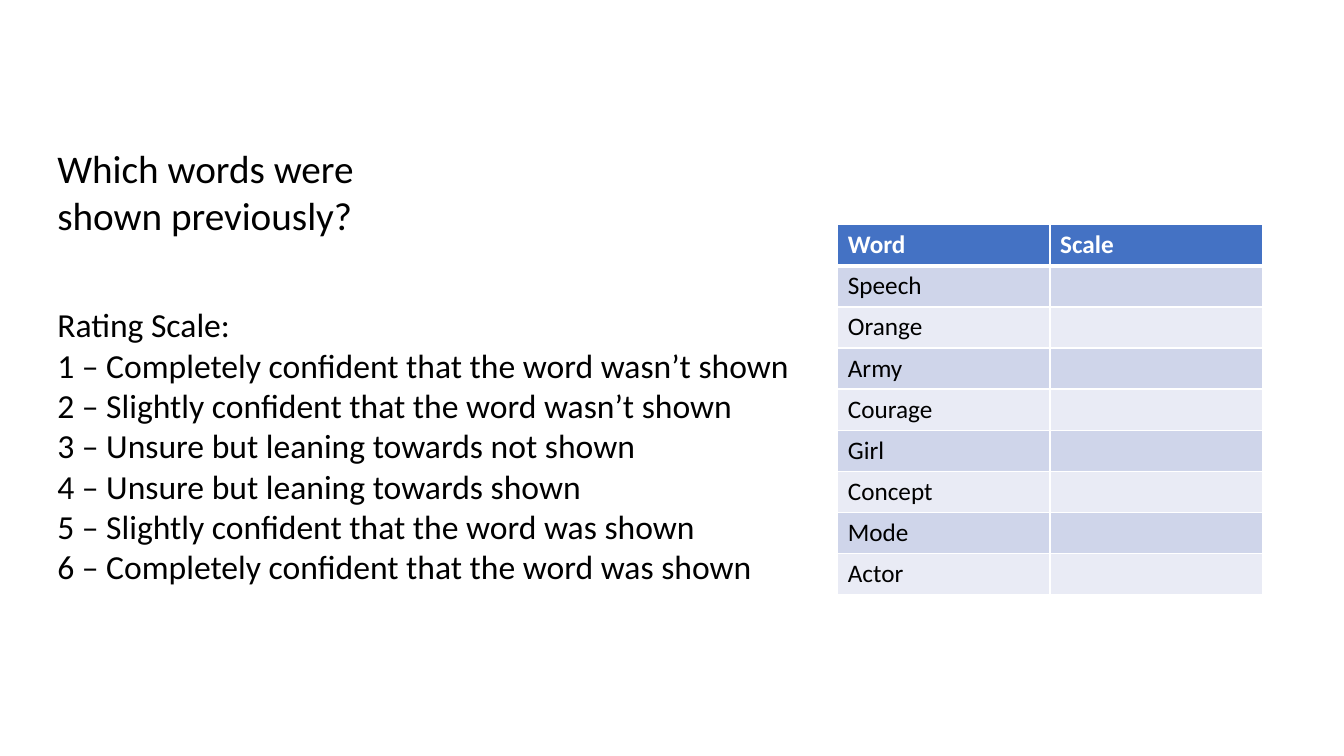
"""Build a word recognition slide with a confidence scale and an answer table."""
from lxml import etree
from pptx import Presentation
from pptx.dml.color import RGBColor
from pptx.enum.text import MSO_AUTO_SIZE as AutoSize
from pptx.oxml.ns import qn
from pptx.util import Inches, Pt


def style_font(font, size, color, bold=False):
    font.name = "Calibri"
    font.size = Pt(size)
    font.bold = bold
    font.color.rgb = RGBColor.from_string(color)


def add_border(cell, side, width, color):
    line = etree.SubElement(cell._tc.get_or_add_tcPr(), qn(f"a:ln{side}"), w=str(Pt(width)))
    fill = etree.SubElement(line, qn("a:solidFill"))
    etree.SubElement(fill, qn("a:srgbClr"), val=color)


presentation = Presentation()
presentation.slide_width = Inches(13.33)
presentation.slide_height = Inches(7.5)
slide = presentation.slides.add_slide(presentation.slide_layouts[6])

words = ["Speech", "Orange", "Army", "Courage", "Girl", "Concept", "Mode", "Actor"]
rows = [("Word", "Scale")] + [(word, "") for word in words]
table = slide.shapes.add_table(
    len(rows), 2, Inches(8.31), Inches(2.23), Inches(4.21), Inches(3.67)
).table

for row_index, row in enumerate(rows):
    is_header = row_index == 0
    band_color = "CFD5EA" if row_index % 2 else "E9EBF5"
    for column_index, text in enumerate(row):
        cell = table.cell(row_index, column_index)
        for side in "LRTB":
            thick = (is_header and side == "B") or (row_index == 1 and side == "T")
            add_border(cell, side, 3 if thick else 1, "FFFFFF")
        cell.fill.solid()
        cell.fill.fore_color.rgb = RGBColor.from_string("4472C4" if is_header else band_color)
        cell.text = text
        style_font(cell.text_frame.paragraphs[0].font, 18,
                   "FFFFFF" if is_header else "000000", is_header)

question = ["Which words were", "shown previously?"]
rating_scale = [
    "Rating Scale:",
    "1 – Completely confident that the word wasn’t shown",
    "2 – Slightly confident that the word wasn’t shown",
    "3 – Unsure but leaning towards not shown",
    "4 – Unsure but leaning towards shown",
    "5 – Slightly confident that the word was shown",
    "6 – Completely confident that the word was shown",
]
text_blocks = [
    (question, 1.38, 4.32, 1.04, 28, True),
    (rating_scale, 2.97, 7.6, 2.93, 24, False),
]
for lines, top, width, height, size, wrap in text_blocks:
    text_box = slide.shapes.add_textbox(Inches(0.47), Inches(top), Inches(width), Inches(height))
    text_frame = text_box.text_frame
    text_frame.word_wrap = wrap
    text_frame.auto_size = AutoSize.SHAPE_TO_FIT_TEXT
    text_frame.text = "\n".join(lines)
    for paragraph in text_frame.paragraphs:
        style_font(paragraph.font, size, "000000")

presentation.save("out.pptx")
